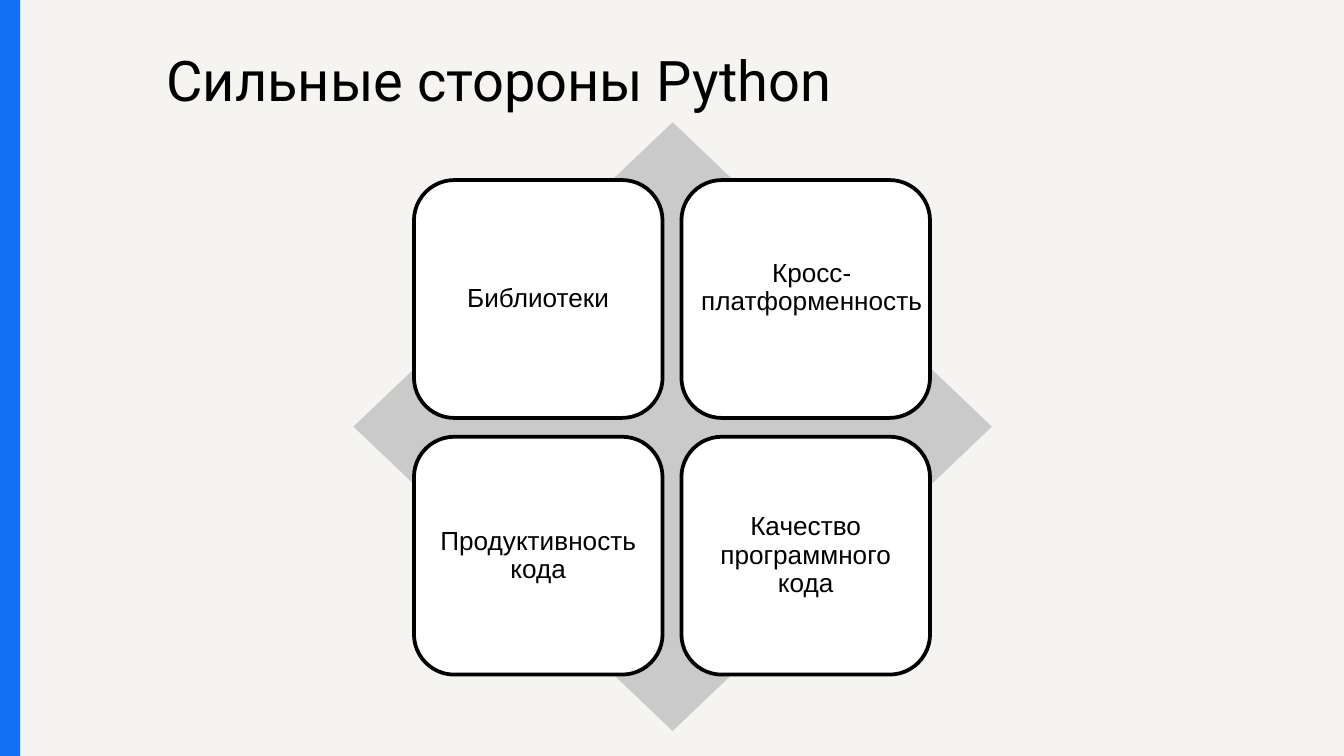
import dataclasses

import pptx
import pptx.dml.color
import pptx.enum.shapes
import pptx.enum.text
import pptx.util

Inches = pptx.util.Inches
Pt = pptx.util.Pt
RGBColor = pptx.dml.color.RGBColor
Shapes = pptx.enum.shapes.MSO_SHAPE
Align = pptx.enum.text.PP_ALIGN
Anchor = pptx.enum.text.MSO_ANCHOR

PAPER = RGBColor(0xF5, 0xF4, 0xF0)
BLUE = RGBColor(0x13, 0x6E, 0xF6)
GRAY = RGBColor(0xCA, 0xCA, 0xCA)
WHITE = RGBColor(0xFF, 0xFF, 0xFF)
BLACK = RGBColor(0x00, 0x00, 0x00)

PAGE_WIDTH = 10
PAGE_HEIGHT = PAGE_WIDTH * 9 / 16
GRID_LEFT, GRID_TOP = 3.08, 1.34
CARD_WIDTH, CARD_HEIGHT = 1.85, 1.77
COLUMN_STEP, ROW_STEP = 1.99, 1.91
LABEL_MARGIN = 0.09


@dataclasses.dataclass(frozen=True)
class Area:
    left: float
    top: float
    width: float
    height: float

    def lengths(self) -> tuple:
        return tuple(Inches(value) for value in dataclasses.astuple(self))


@dataclasses.dataclass(frozen=True)
class Strength:
    label: str
    column: int
    row: int
    extra_width: float = 0
    rise: float = 0
    extra_height: float = 0


STRENGTHS = [
    Strength("Библиотеки", 0, 0),
    Strength("Кросс-платформенность", 1, 0, 0.09, 0.17, 0.18),
    Strength("Продуктивность кода", 0, 1),
    Strength("Качество программного кода", 1, 1),
]


def add_filled_shape(page, kind, area: Area, color: RGBColor):
    shape = page.shapes.add_shape(kind, *area.lengths())
    shape.shadow.inherit = False
    shape.fill.solid()
    shape.fill.fore_color.rgb = color
    shape.line.fill.background()
    return shape


def add_text(page, text: str, area: Area, font: str, size: float, inset: float):
    box = page.shapes.add_textbox(*area.lengths())
    frame = box.text_frame
    frame.word_wrap = True
    frame.margin_left = frame.margin_right = Inches(inset)
    frame.margin_top = frame.margin_bottom = Inches(inset)
    frame.text = text
    span = frame.paragraphs[0].runs[0]
    span.font.name = font
    span.font.size = Pt(size)
    span.font.color.rgb = BLACK
    return frame


def add_strength(page, strength: Strength) -> None:
    left = GRID_LEFT + strength.column * COLUMN_STEP
    top = GRID_TOP + strength.row * ROW_STEP
    card_area = Area(left, top, CARD_WIDTH, CARD_HEIGHT)
    card = add_filled_shape(page, Shapes.ROUNDED_RECTANGLE, card_area, WHITE)
    card.adjustments[0] = 0.17
    card.line.color.rgb = BLACK
    card.line.width = Pt(2)

    label_area = Area(
        left + LABEL_MARGIN,
        top + LABEL_MARGIN - strength.rise,
        CARD_WIDTH - 2 * LABEL_MARGIN + strength.extra_width,
        CARD_HEIGHT - 2 * LABEL_MARGIN + strength.extra_height,
    )
    frame = add_text(page, strength.label, label_area, "Arial", 14, 0.05)
    frame.vertical_anchor = Anchor.MIDDLE
    para = frame.paragraphs[0]
    para.alignment = Align.CENTER
    para.line_spacing = 0.9


def main() -> None:
    deck = pptx.Presentation()
    deck.slide_width = Inches(PAGE_WIDTH)
    deck.slide_height = Inches(PAGE_HEIGHT)
    page = deck.slides.add_slide(deck.slide_layouts[6])
    page.background.fill.solid()
    page.background.fill.fore_color.rgb = PAPER

    title_area = Area(1.14, 0.24, 6.95, 1.02)
    add_text(page, "Сильные стороны Python", title_area, "Roboto", 30, 0.1)
    add_filled_shape(page, Shapes.RECTANGLE, Area(0, -0.01, 0.15, 5.65), BLUE)
    add_filled_shape(page, Shapes.DIAMOND, Area(2.63, 0.91, 4.75, 4.53), GRAY)
    for strength in STRENGTHS:
        add_strength(page, strength)

    deck.save("out.pptx")


if __name__ == "__main__":
    main()
